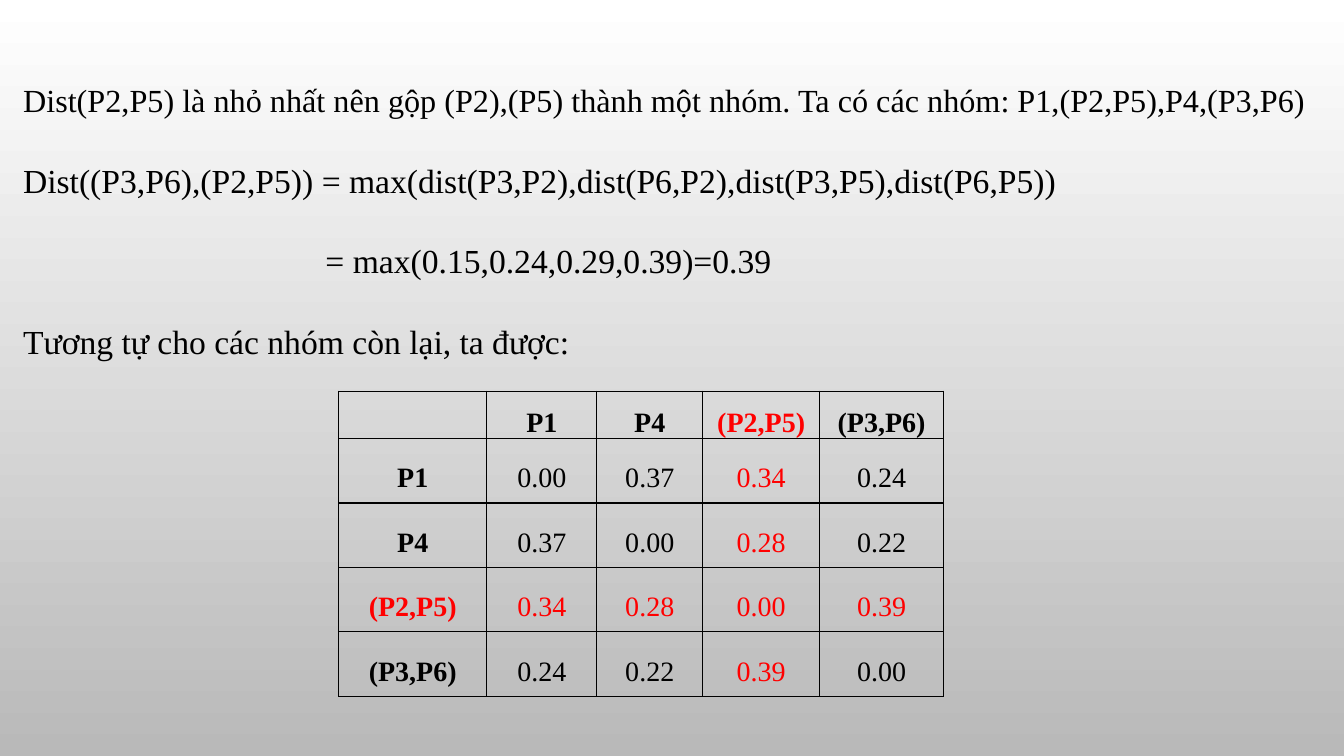
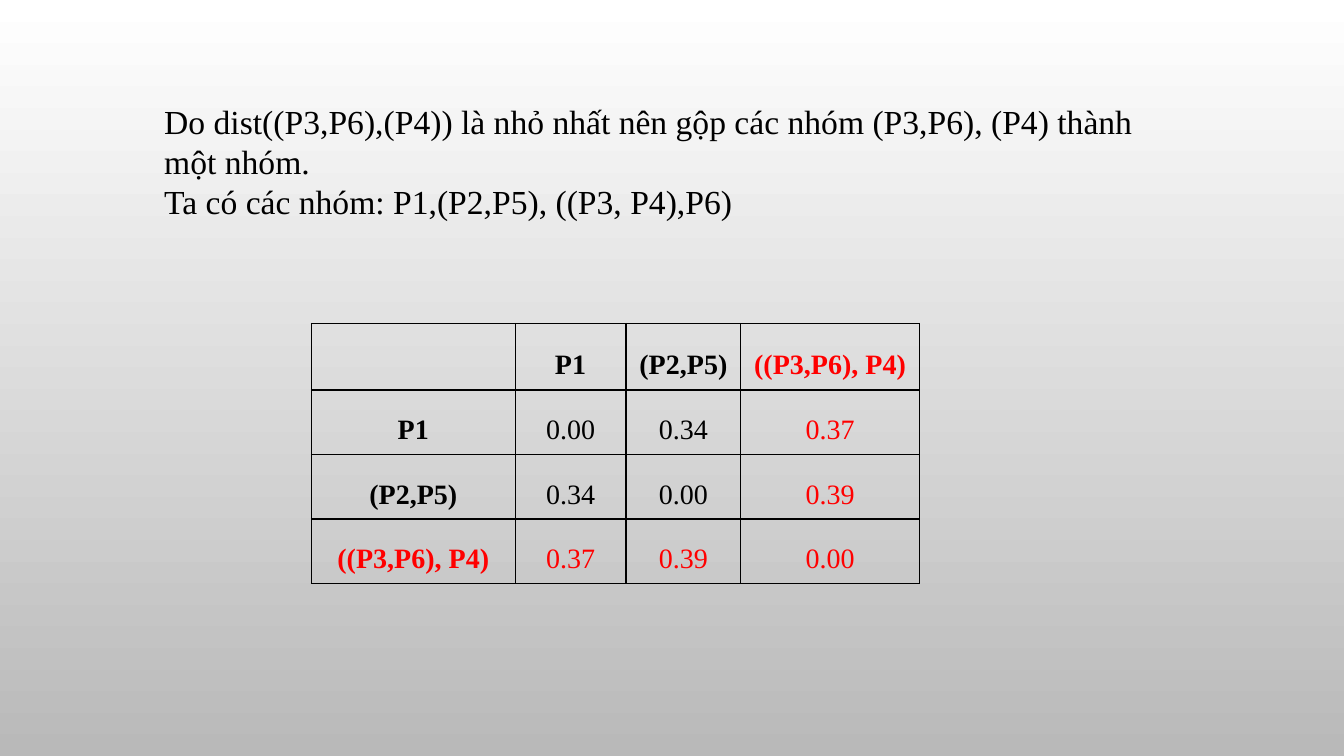
from dataclasses import dataclass

from lxml import etree
from pptx import Presentation
from pptx.dml.color import RGBColor
from pptx.enum.text import MSO_ANCHOR, MSO_AUTO_SIZE, PP_ALIGN
from pptx.oxml.ns import qn
from pptx.presentation import Presentation as Deck
from pptx.slide import Slide
from pptx.table import _Cell
from pptx.text.text import _Paragraph
from pptx.util import Inches, Pt

SLIDE_WIDTH = Inches(13.33)
SLIDE_HEIGHT = Inches(7.5)
FONT = "Times New Roman"
BLACK = RGBColor(0x00, 0x00, 0x00)
RED = RGBColor(0xFF, 0x00, 0x00)
BACKGROUND_TOP = RGBColor(0xFF, 0xFF, 0xFF)
BACKGROUND_BOTTOM = RGBColor(0xB9, 0xB9, 0xB9)
DOWNWARD = 270
CENTER = PP_ALIGN.CENTER
MIDDLE = MSO_ANCHOR.MIDDLE
GROW_TO_TEXT = MSO_AUTO_SIZE.SHAPE_TO_FIT_TEXT
BLANK_LAYOUT = 6
CELL_SIZE = 20
CELL_INSET = Inches(0.07)
BORDER_WIDTH = Pt(1)
BORDER_TAGS = ("a:lnL", "a:lnR", "a:lnT", "a:lnB")
BODY_ROW = 8.53


@dataclass(frozen=True)
class Line:
    text: str
    size: int = 24
    indent: float = 0


@dataclass(frozen=True)
class Explanation:
    left: float
    top: float
    width: float
    height: float
    spacing: float
    lines: tuple[Line, ...]


@dataclass(frozen=True)
class DistanceTable:
    left: float
    top: float
    columns: tuple[float, ...]
    header_row: float
    groups: tuple[str, ...]
    merged: str
    distances: tuple[tuple[float, ...], ...]


@dataclass(frozen=True)
class Step:
    explanation: Explanation
    table: DistanceTable


STEPS = (
    Step(
        Explanation(0.98, 4.93, 99, 44, 2, (
            Line("Dist(P2,P5) là nhỏ nhất nên gộp (P2),(P5) thành một nhóm. "
                 "Ta có các nhóm: P1,(P2,P5),P4,(P3,P6)", size=23),
            Line("Dist((P3,P6),(P2,P5)) = "
                 "max(dist(P3,P2),dist(P6,P2),dist(P3,P5),dist(P6,P5))"),
            Line("= max(0.15,0.24,0.29,0.39)=0.39", indent=22.5),
            Line("Tương tự cho các nhóm còn lại, ta được:"),
        )),
        DistanceTable(
            25.2, 51.73, (11.03, 8.18, 7.88, 8.7, 9.22), 6.27,
            ("P1", "P4", "(P2,P5)", "(P3,P6)"), "(P2,P5)",
            ((0, 0.37, 0.34, 0.24),
             (0.37, 0, 0.28, 0.22),
             (0.34, 0.28, 0, 0.39),
             (0.24, 0.22, 0.39, 0)),
        ),
    ),
    Step(
        Explanation(11.48, 12.67, 73.5, 22.93, 1, (
            Line("Do dist((P3,P6),(P4)) là nhỏ nhất nên gộp các nhóm "
                 "(P3,P6), (P4) thành một nhóm."),
            Line("Ta có các nhóm: P1,(P2,P5), ((P3, P4),P6)"),
        )),
        DistanceTable(
            23.18, 42.8, (15.15, 8.25, 8.55, 13.28), 8.8,
            ("P1", "(P2,P5)", "((P3,P6), P4)"), "((P3,P6), P4)",
            ((0, 0.34, 0.37),
             (0.34, 0, 0.39),
             (0.37, 0.39, 0)),
        ),
    ),
)


def across(percent: float) -> int:
    return round(SLIDE_WIDTH * percent / 100)


def down(percent: float) -> int:
    return round(SLIDE_HEIGHT * percent / 100)


def add_run(paragraph: _Paragraph, text: str, size: int,
            color: RGBColor = BLACK, bold: bool = False) -> None:
    run = paragraph.add_run()
    run.text = text
    run.font.name = FONT
    run.font.size = Pt(size)
    run.font.bold = bold
    run.font.color.rgb = color


def paint_background(presentation: Deck) -> None:
    fill = presentation.slide_master.background.fill
    fill.gradient()
    fill.gradient_angle = DOWNWARD
    colors = (BACKGROUND_TOP, BACKGROUND_BOTTOM)
    for position, (stop, color) in enumerate(zip(fill.gradient_stops, colors)):
        stop.position = position
        stop.color.rgb = color


def add_explanation(slide: Slide, explanation: Explanation) -> None:
    shape = slide.shapes.add_textbox(
        across(explanation.left), down(explanation.top),
        across(explanation.width), down(explanation.height))
    frame = shape.text_frame
    frame.word_wrap = True
    frame.auto_size = GROW_TO_TEXT
    for index, line in enumerate(explanation.lines):
        paragraph = frame.add_paragraph() if index else frame.paragraphs[0]
        paragraph.line_spacing = float(explanation.spacing)
        if line.indent:
            paragraph._p.get_or_add_pPr().set("marL", str(across(line.indent)))
        add_run(paragraph, line.text, line.size)


def style_cell(cell: _Cell) -> None:
    properties = cell._tc.get_or_add_tcPr()
    for tag in BORDER_TAGS:
        border = etree.SubElement(properties, qn(tag), w=str(BORDER_WIDTH))
        fill = etree.SubElement(border, qn("a:solidFill"))
        etree.SubElement(fill, qn("a:srgbClr"), val=str(BLACK))
    cell.fill.background()
    cell.vertical_anchor = MIDDLE
    cell.margin_left = cell.margin_right = CELL_INSET
    cell.margin_top = cell.margin_bottom = 0


def add_distance_table(slide: Slide, content: DistanceTable) -> None:
    labels = ("",) + content.groups
    rows = [labels] + [
        (group, *(f"{distance:.2f}" for distance in distances))
        for group, distances in zip(content.groups, content.distances)]
    heights = [content.header_row] + [BODY_ROW] * len(content.groups)
    table = slide.shapes.add_table(
        len(rows), len(labels), across(content.left), down(content.top),
        across(sum(content.columns)), down(sum(heights))).table
    table.first_row = False
    table.horz_banding = False
    for column, width in zip(table.columns, content.columns):
        column.width = across(width)
    for row, height in zip(table.rows, heights):
        row.height = down(height)
    for row_index, texts in enumerate(rows):
        for column_index, text in enumerate(texts):
            cell = table.cell(row_index, column_index)
            style_cell(cell)
            if not text:
                continue
            paragraph = cell.text_frame.paragraphs[0]
            paragraph.alignment = CENTER
            paragraph.line_spacing = 1.5
            paragraph.space_before = Pt(6)
            is_merged = content.merged in (labels[row_index], labels[column_index])
            is_label = row_index == 0 or column_index == 0
            add_run(paragraph, text, CELL_SIZE, RED if is_merged else BLACK, is_label)


def main() -> None:
    presentation = Presentation()
    presentation.slide_width = SLIDE_WIDTH
    presentation.slide_height = SLIDE_HEIGHT
    paint_background(presentation)
    for step in STEPS:
        slide = presentation.slides.add_slide(presentation.slide_layouts[BLANK_LAYOUT])
        add_distance_table(slide, step.table)
        add_explanation(slide, step.explanation)
    presentation.save("out.pptx")


if __name__ == "__main__":
    main()
